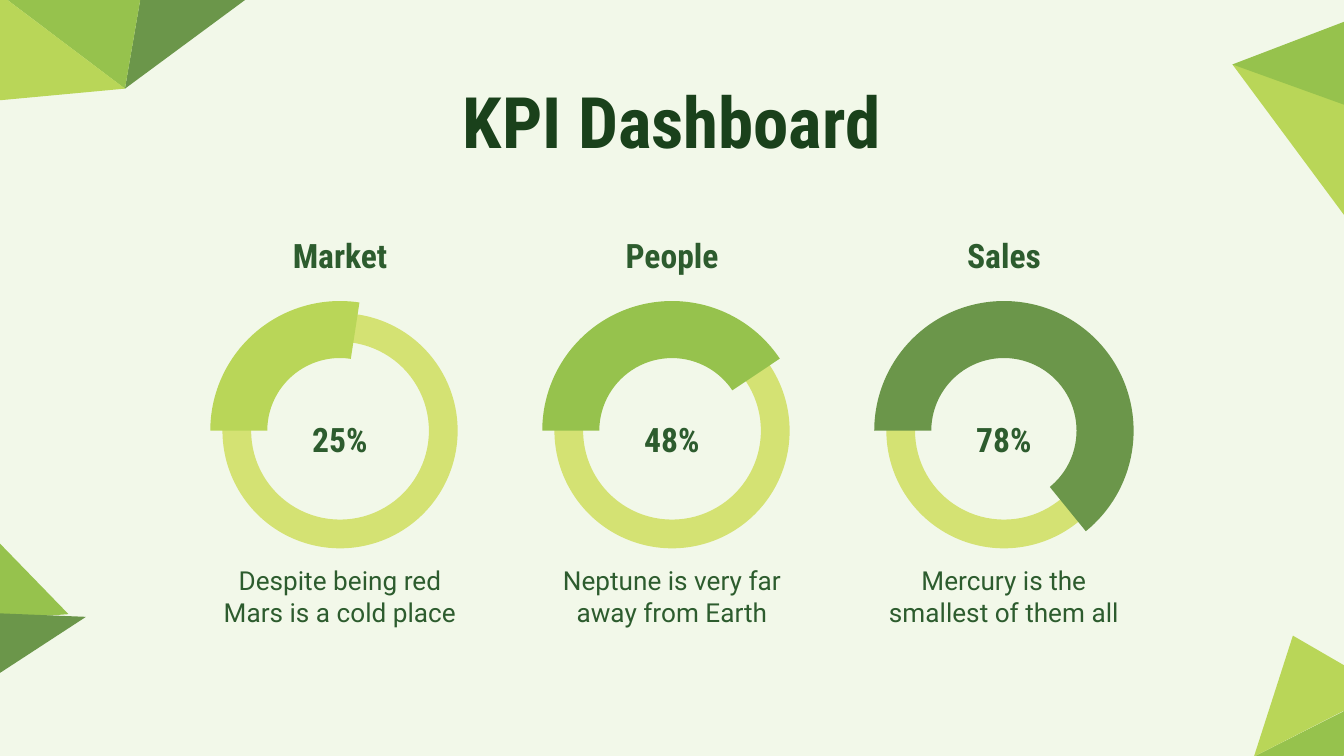
from pptx import Presentation
from pptx.dml.color import RGBColor
from pptx.enum.shapes import MSO_SHAPE
from pptx.enum.text import MSO_ANCHOR, MSO_AUTO_SIZE, PP_ALIGN
from pptx.util import Inches, Pt

BACKGROUND = RGBColor(0xF2, 0xF8, 0xE9)
TITLE_GREEN = RGBColor(0x1A, 0x41, 0x1B)
TEXT_GREEN = RGBColor(0x2D, 0x5C, 0x2E)
RING_LIME = RGBColor(0xD4, 0xE2, 0x73)
LIME = RGBColor(0xB9, 0xD6, 0x58)
GREEN = RGBColor(0x96, 0xC2, 0x4D)
DARK_GREEN = RGBColor(0x6B, 0x96, 0x4A)


def write_text(shape, text, *, size, font="Roboto Condensed", color=TEXT_GREEN,
               bold=True, anchor=MSO_ANCHOR.MIDDLE, inset=0.1):
    frame = shape.text_frame
    frame.word_wrap = True
    frame.auto_size = MSO_AUTO_SIZE.NONE
    frame.vertical_anchor = anchor
    frame.margin_left = frame.margin_right = Inches(0.1)
    frame.margin_top = frame.margin_bottom = Inches(inset)
    paragraph = frame.paragraphs[0]
    paragraph.alignment = PP_ALIGN.CENTER
    run = paragraph.add_run()
    run.text = text
    run.font.name = font
    run.font.size = Pt(size)
    run.font.bold = bold
    run.font.color.rgb = color


def paint(shape, color):
    shape.shadow.inherit = False
    shape.fill.solid()
    shape.fill.fore_color.rgb = color
    shape.line.fill.background()


presentation = Presentation()
presentation.slide_width = Inches(10)
presentation.slide_height = Inches(5.625)
slide = presentation.slides.add_slide(presentation.slide_layouts[5])
slide.background.fill.solid()
slide.background.fill.fore_color.rgb = BACKGROUND
shapes = slide.shapes

corner_triangles = [
    (GREEN, [(9.8, 5.99), (10.24, 5.17), (9.33, 5.63)]),
    (LIME, [(10.59, 0.8), (10.03, 1.64), (9.17, 0.48)]),
    (GREEN, [(10.53, -0.04), (10.53, 0.97), (9.17, 0.48)]),
    (LIME, [(9.62, 4.73), (9.33, 5.63), (10.31, 5.13)]),
    (DARK_GREEN, [(2.19, -0.27), (1.18, -0.79), (0.93, 0.66)]),
    (GREEN, [(0.93, 0.66), (1.18, -0.79), (-0.05, -0.08)]),
    (LIME, [(0.93, 0.66), (-0.15, 0.76), (-0.05, -0.08)]),
    (GREEN, [(-0.29, 4.63), (-0.15, 3.89), (0.51, 4.57)]),
    (DARK_GREEN, [(-0.25, 5.17), (-0.34, 4.55), (0.64, 4.59)]),
]
for color, corners in corner_triangles:
    points = [(Inches(x), Inches(y)) for x, y in corners]
    builder = shapes.build_freeform(*points[0], scale=1)
    builder.add_line_segments(points[1:], close=True)
    paint(builder.convert_to_shape(), color)

title = shapes.title
title.left, title.top = Inches(0.78), Inches(0.48)
title.width, title.height = Inches(8.44), Inches(0.8)
write_text(title, "KPI Dashboard", size=38, color=TITLE_GREEN, anchor=MSO_ANCHOR.TOP)

indicators = [
    ("Market", "25%", "Despite being red Mars is a cold place", LIME, 278.63),
    ("People", "48%", "Neptune is very far away from Earth", GREEN, 326.24),
    ("Sales", "78%", "Mercury is the smallest of them all", DARK_GREEN, 50.82),
]
ANGLE_UNIT = 0.6
for index, (name, value, description, color, end_angle) in enumerate(indicators):
    center = 2.53 + 2.47 * index

    heading = shapes.add_textbox(Inches(center - 1.095), Inches(1.68), Inches(2.19), Inches(0.43))
    write_text(heading, name, size=18)

    ring = shapes.add_shape(MSO_SHAPE.DONUT, Inches(center - 0.875), Inches(2.33),
                            Inches(1.75), Inches(1.75))
    ring.adjustments[0] = 0.122
    paint(ring, RING_LIME)

    arc = shapes.add_shape(MSO_SHAPE.BLOCK_ARC, Inches(center - 0.965), Inches(2.24),
                           Inches(1.93), Inches(1.93))
    arc.adjustments[0] = 180 * ANGLE_UNIT
    arc.adjustments[1] = end_angle * ANGLE_UNIT
    arc.adjustments[2] = 0.22
    paint(arc, color)

    percentage = shapes.add_textbox(Inches(center - 0.585), Inches(2.98), Inches(1.17), Inches(0.57))
    write_text(percentage, value, size=18, inset=0.05)

    caption = shapes.add_textbox(Inches(center - 0.985), Inches(4.28), Inches(1.97), Inches(0.31))
    write_text(caption, description, size=14, font="Roboto", bold=False)

presentation.save("out.pptx")
